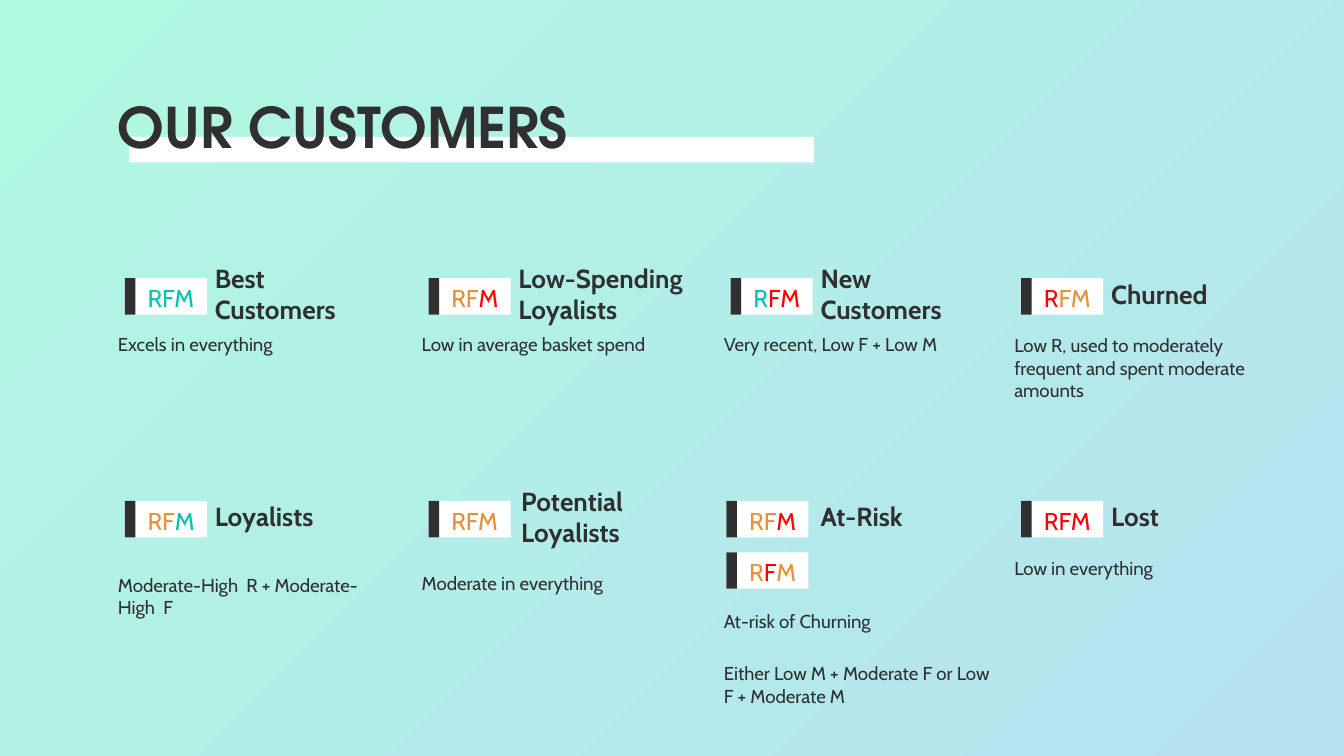
from dataclasses import dataclass

from pptx import Presentation
from pptx.dml.color import RGBColor
from pptx.enum.shapes import MSO_SHAPE
from pptx.enum.text import MSO_ANCHOR
from pptx.util import Cm, Pt

RECTANGLE = MSO_SHAPE.RECTANGLE
TOP, MIDDLE = MSO_ANCHOR.TOP, MSO_ANCHOR.MIDDLE

DARK = RGBColor(0x30, 0x30, 0x30)
WHITE = RGBColor(0xFF, 0xFF, 0xFF)
MINT = RGBColor(0xB0, 0xF8, 0xE2)
SKY = RGBColor(0xB6, 0xE2, 0xEF)
HIGH = RGBColor(0x00, 0xC3, 0xB1)
MODERATE = RGBColor(0xE6, 0x91, 0x38)
LOW = RGBColor(0xFF, 0x00, 0x00)

TITLE_FONT = "TeX Gyre Adventor"
BODY_FONT = "Cabin"

# Grid in centimetres: column lefts and the tops of the badges in each row
COLUMNS = (1.98, 7.72, 13.43, 18.92)
ROWS = (5.26, 9.47)
SEGMENT_WIDTH = 5.56
BADGE_PITCH = 0.97


@dataclass
class Segment:
    name: str
    # Each badge lists (letters, colour) pieces
    badges: list
    description: list
    description_offset: float = 0.81
    badge_indent: float = 0.38
    name_indent: float = 1.83


SEGMENTS = (
    (
        Segment("Best Customers", [[("RFM", HIGH)]], ["Excels in everything"]),
        Segment("Low-Spending Loyalists", [[("RF", MODERATE), ("M", LOW)]],
                ["Low in average basket spend"]),
        Segment("New Customers", [[("R", HIGH), ("FM", LOW)]],
                ["Very recent, Low F + Low M"]),
        Segment("Churned", [[("R", LOW), ("FM", MODERATE)]],
                ["Low R, used to moderately frequent and spent moderate amounts"]),
    ),
    (
        Segment("Loyalists", [[("RF", MODERATE), ("M", HIGH)]],
                ["Moderate-High  R + Moderate-High  F"], 1.12),
        Segment("Potential Loyalists", [[("RFM", MODERATE)]],
                ["Moderate in everything"], 1.12, name_indent=1.88),
        Segment("At-Risk",
                [[("RF", MODERATE), ("M", LOW)],
                 [("R", MODERATE), ("F", LOW), ("M", MODERATE)]],
                ["At-risk of Churning",
                 "Either Low M + Moderate F or Low F + Moderate M"],
                1.81, badge_indent=0.3),
        Segment("Lost", [[("RFM", LOW)]], ["Low in everything"], 0.84),
    ),
)


def add_rectangle(shapes, left, top, width, height, color):
    shape = shapes.add_shape(RECTANGLE, Cm(left), Cm(top), Cm(width), Cm(height))
    shape.shadow.inherit = False
    shape.fill.solid()
    shape.fill.fore_color.rgb = color
    shape.line.fill.background()


def add_text_frame(shapes, left, top, width, height, anchor=TOP):
    box = shapes.add_textbox(Cm(left), Cm(top), Cm(width), Cm(height))
    text_frame = box.text_frame
    text_frame.word_wrap = True
    text_frame.vertical_anchor = anchor
    text_frame.margin_left = text_frame.margin_right = Cm(0.25)
    text_frame.margin_top = text_frame.margin_bottom = Cm(0.25)
    return text_frame


def format_run(run, size, color=DARK, bold=False, font_name=BODY_FONT):
    run.font.name = font_name
    run.font.size = Pt(size)
    run.font.bold = bold
    run.font.color.rgb = color


def add_background(slide):
    fill = slide.background.fill
    fill.gradient()
    fill.gradient_angle = 315
    for stop, color in zip(fill.gradient_stops, (MINT, SKY)):
        stop.color.rgb = color


def add_title(slide, left, top, width, height):
    # White underline bar behind the heading
    add_rectangle(slide.shapes, left + 0.46, top + 1.09, 12.95, 0.48, WHITE)
    text_frame = add_text_frame(slide.shapes, left, top, width, height)
    text_frame.text = "OUR CUSTOMERS"
    format_run(text_frame.paragraphs[0].runs[0], 30, bold=True, font_name=TITLE_FONT)


def add_badge(slide, left, top, pieces):
    shapes = slide.shapes.add_group_shape().shapes
    add_rectangle(shapes, left, top, 1.55, 0.69, WHITE)
    add_rectangle(shapes, left, top, 0.2, 0.69, DARK)
    text_frame = add_text_frame(shapes, left + 0.18, top - 0.15, 1.93, 0.56)
    for letters, color in pieces:
        run = text_frame.paragraphs[0].add_run()
        run.text = letters
        format_run(run, 13, color)


def add_segment(slide, left, top, width, segment):
    # Segment name, to the right of the badge
    text_frame = add_text_frame(slide.shapes, left + segment.name_indent, top - 0.28,
                                width - 1.83, 1.14, MIDDLE)
    text_frame.text = segment.name
    format_run(text_frame.paragraphs[0].runs[0], 14, bold=True)

    # Description below
    text_frame = add_text_frame(slide.shapes, left, top + segment.description_offset,
                                width, 1.88)
    text_frame.text = "\n".join(segment.description)
    for paragraph in text_frame.paragraphs:
        paragraph.space_after = Pt(16)
        format_run(paragraph.runs[0], 10)

    # Score badges, stacked
    for index, pieces in enumerate(segment.badges):
        add_badge(slide, left + segment.badge_indent, top + index * BADGE_PITCH, pieces)


def main():
    presentation = Presentation()
    presentation.slide_width = Cm(25.4)
    presentation.slide_height = Cm(14.29)
    slide = presentation.slides.add_slide(presentation.slide_layouts[6])
    add_background(slide)
    add_title(slide, 1.98, 1.5, 14.4, 1.9)
    for top, row in zip(ROWS, SEGMENTS):
        for left, segment in zip(COLUMNS, row):
            add_segment(slide, left, top, SEGMENT_WIDTH, segment)
    presentation.save("out.pptx")


if __name__ == "__main__":
    main()
